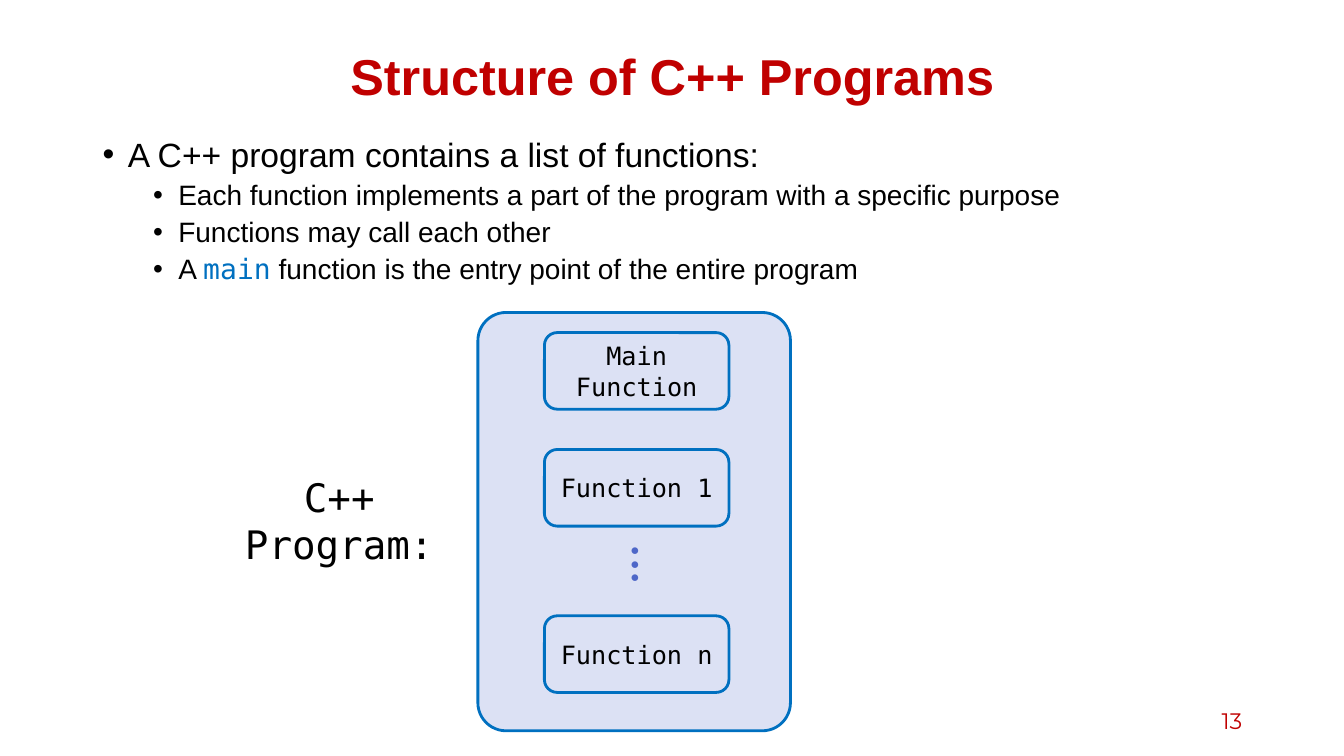
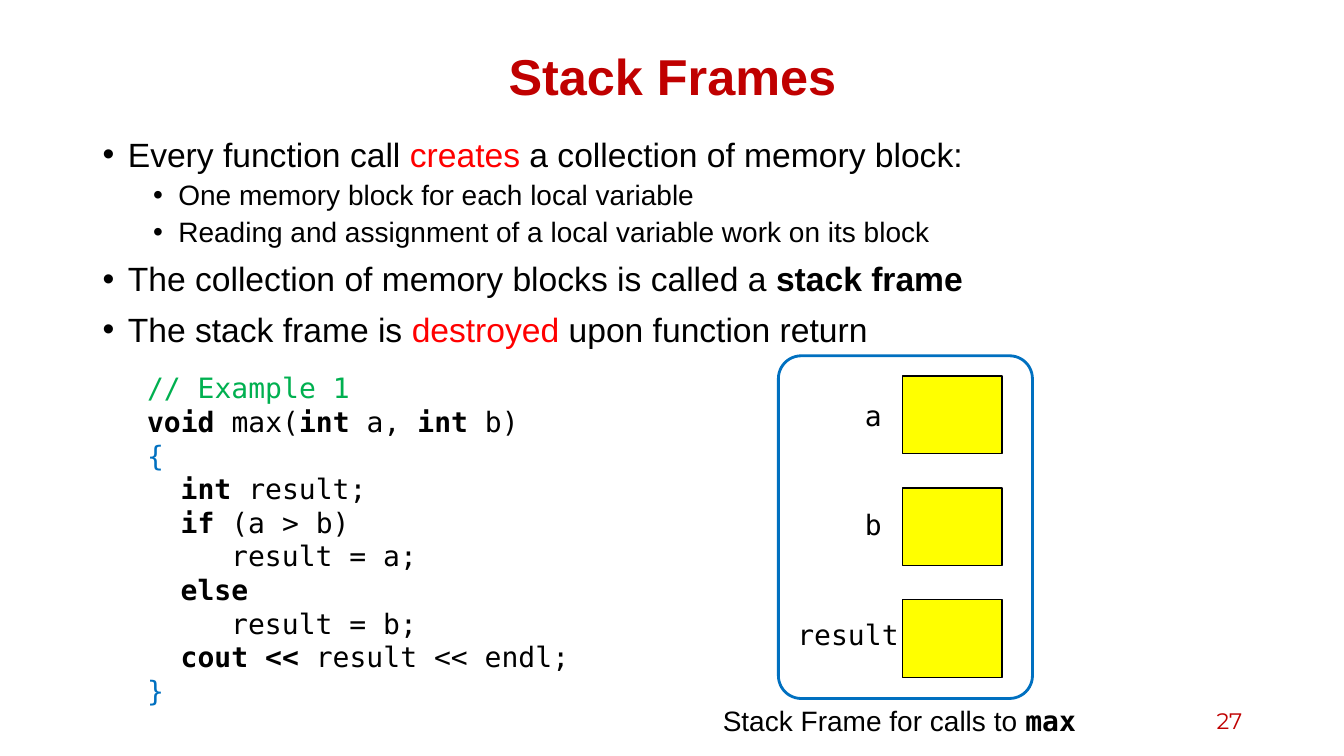
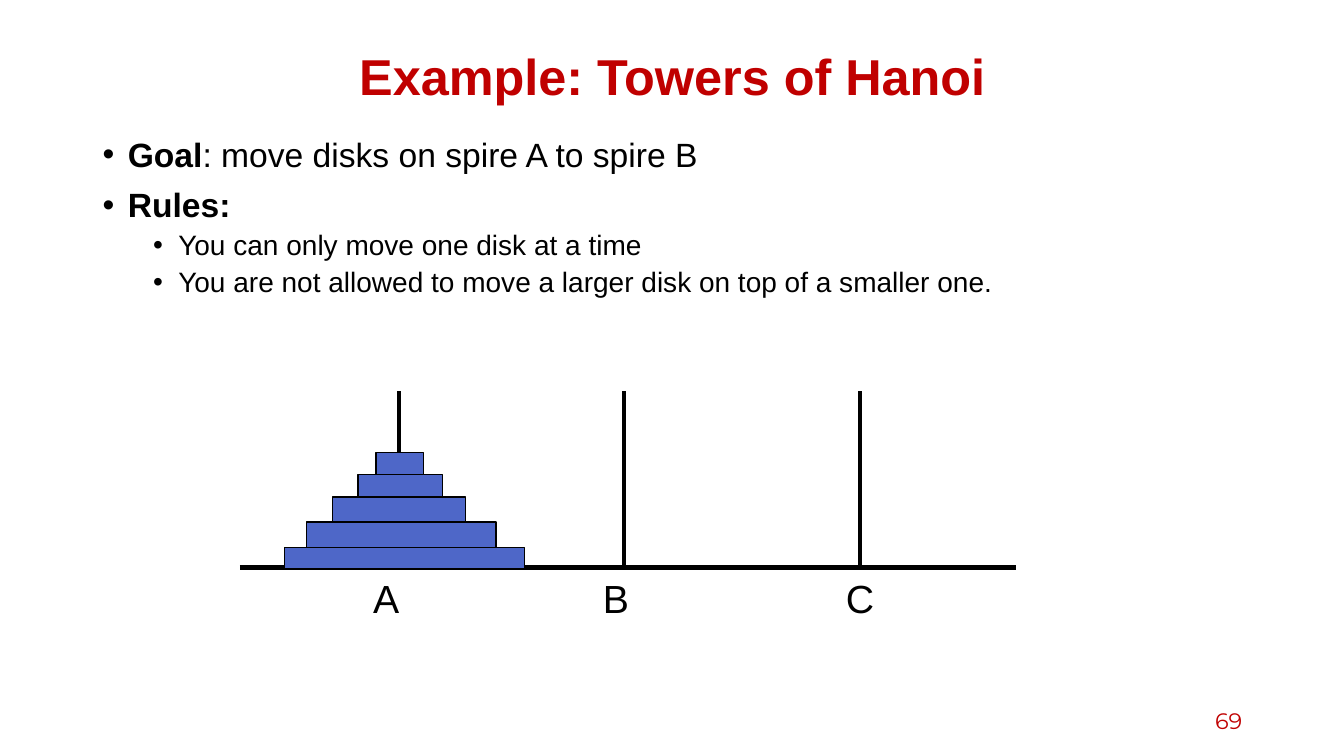
from lxml import etree
from pptx import Presentation
from pptx import util as u
from pptx.dml.color import RGBColor
from pptx.enum import shapes, text
from pptx.oxml import ns

COLORS = {
    "title": "C00000",
    "text": "000000",
    "outline": "0070C0",
    "accent": "4E67C8",
    "panel": "DCE1F4",
    "alert": "FF0000",
    "comment": "00B050",
    "memory": "FFFF00",
}
SANS, MONO, NUMBER = "Arial", "DejaVu Sans Mono", "Montserrat"
CENTER, RIGHT = text.PP_ALIGN.CENTER, text.PP_ALIGN.RIGHT
RECT, ROUND = shapes.MSO_SHAPE.RECTANGLE, shapes.MSO_SHAPE.ROUNDED_RECTANGLE
BOLD = {"bold": True}
# Per bullet level: text size, left margin, space before
LEVELS = [(24, 0.25, 10), (20, 0.75, 5)]
CODE_CHAR = 0.167  # width in inches of one code character at 20 pt


def rgb(name):
    return RGBColor.from_string(COLORS[name])


class Deck:
    def __init__(self):
        self.prs = Presentation()
        self.prs.slide_width = u.Inches(13.33)
        self.prs.slide_height = u.Inches(7.5)
        self.s = None

    def slide(self, title, number, bullets):
        """Start a slide with its title, page number and (level, *runs) bullets."""
        self.s = self.prs.slides.add_slide(self.prs.slide_layouts[6])
        self.text(0.92, 0.4, 11.5, 0.7, [title], size=36, color="title",
                  bold=True, align=CENTER, middle=True)
        self.text(9.42, 6.95, 3, 0.4, [str(number)], size=16, name=NUMBER,
                  color="title", align=RIGHT, middle=True)
        self.bullets(bullets)

    def runs(self, p, parts, **style):
        """Fill a paragraph; a part is a string or a (string, style changes) pair."""
        for part in parts:
            words, changes = (part, {}) if isinstance(part, str) else part
            look = {"name": SANS, "color": "text", "bold": False, **style, **changes}
            r = p.add_run()
            r.text = words
            r.font.color.rgb = rgb(look.pop("color"))
            look["size"] = u.Pt(look["size"])
            for key, value in look.items():
                setattr(r.font, key, value)

    def frame(self, x, y, w, h, middle=False, rotation=0):
        box = self.s.shapes.add_textbox(*map(u.Inches, (x, y, w, h)))
        box.rotation = rotation
        tf = box.text_frame
        tf.word_wrap = True
        if middle:
            tf.vertical_anchor = text.MSO_ANCHOR.MIDDLE
        return tf

    def text(self, x, y, w, h, parts, align=None, middle=False, rotation=0, **style):
        p = self.frame(x, y, w, h, middle, rotation).paragraphs[0]
        p.alignment = align
        self.runs(p, parts, **style)

    def paragraphs(self, tf, count):
        return [tf.paragraphs[0]] + [tf.add_paragraph() for _ in range(count - 1)]

    def bullets(self, items):
        tf = self.frame(0.92, 1.32, 11.5, 5.51)
        for p, (level, *parts) in zip(self.paragraphs(tf, len(items)), items):
            size, margin, before = LEVELS[level]
            for key, value in {"level": level, "line_spacing": 0.9,
                               "space_before": u.Pt(before)}.items():
                setattr(p, key, value)
            pPr = p._p.get_or_add_pPr()
            pPr.set("marL", str(u.Inches(margin)))
            pPr.set("indent", str(u.Inches(-0.25)))
            etree.SubElement(pPr, ns.qn("a:buFont")).set("typeface", SANS)
            etree.SubElement(pPr, ns.qn("a:buChar")).set("char", "•")
            self.runs(p, parts, size=size)

    def code(self, x, y, w, h, lines):
        """Each line is (characters of indent, *runs)."""
        tf = self.frame(x, y, w, h)
        for p, (indent, *parts) in zip(self.paragraphs(tf, len(lines)), lines):
            p._p.get_or_add_pPr().set("marL", str(u.Inches(indent * CODE_CHAR)))
            self.runs(p, parts, size=20, name=MONO)

    def box(self, kind, x, y, w, h, fill=None, line="outline", width=2,
            corner=None, label=None):
        sp = self.s.shapes.add_shape(kind, *map(u.Inches, (x, y, w, h)))
        sp.shadow.inherit = False
        if fill:
            sp.fill.solid()
            sp.fill.fore_color.rgb = rgb(fill)
        else:
            sp.fill.background()
        sp.line.color.rgb = rgb(line)
        sp.line.width = u.Pt(width)
        if corner:
            sp.adjustments[0] = corner
        if label:
            tf = sp.text_frame
            tf.word_wrap = True
            tf.vertical_anchor = text.MSO_ANCHOR.MIDDLE
            tf.paragraphs[0].alignment = CENTER
            self.runs(tf.paragraphs[0], [label], size=18, name=MONO)

    def line(self, x1, y1, x2, y2):
        ln = self.s.shapes.add_connector(
            shapes.MSO_CONNECTOR.STRAIGHT, *map(u.Inches, (x1, y1, x2, y2)))
        ln.line.color.rgb = rgb("text")
        ln.line.width = u.Pt(3)
        etree.SubElement(ln._element.spPr, ns.qn("a:effectLst"))


def program_structure(deck):
    deck.slide("Structure of C++ Programs", 13, [
        (0, "A C++ program contains a list of functions:"),
        (1, "Each function implements a part of the program with a specific purpose"),
        (1, "Functions may call each other"),
        (1, "A ", ("main", {"name": MONO, "color": "outline"}),
         " function is the entry point of the entire program"),
    ])
    deck.box(ROUND, 4.74, 3.1, 3.1, 4.15, fill="panel", corner=0.09)
    for label, y in [("Main Function", 3.3), ("Function 1", 4.46), ("Function n", 6.11)]:
        deck.box(ROUND, 5.4, y, 1.83, 0.76, label=label)
    deck.text(5.89, 5.6, 0.84, 0.29, ["● ● ●"], rotation=90, size=11, color="accent")
    deck.text(1.99, 4.65, 2.75, 0.57, ["C++ Program:"], align=CENTER, size=28, name=MONO)


def stack_frames(deck):
    red, brace = {"color": "alert"}, {"color": "outline"}
    deck.slide("Stack Frames", 27, [
        (0, "Every function call ", ("creates", red), " a collection of memory block:"),
        (1, "One memory block for each local variable"),
        (1, "Reading and assignment of a local variable work on its block"),
        (0, "The collection of memory blocks is called a ", ("stack frame", BOLD)),
        (0, "The stack frame is ", ("destroyed", red), " upon function return"),
    ])
    deck.code(1.36, 3.63, 5.42, 3.47, [
        (0, ("// Example 1", {"color": "comment"})),
        (0, ("void", BOLD), " max(", ("int", BOLD), " a, ", ("int", BOLD), " b)"),
        (0, ("{", brace)),
        (2, ("int", BOLD), " result;"),
        (2, ("if", BOLD), " (a > b)"),
        (5, "result = a;"),
        (2, ("else", BOLD)),
        (5, "result = b;"),
        (2, ("cout <<", BOLD), " result << endl;"),
        (0, ("}", brace)),
    ])
    for i, (variable, x) in enumerate([("a", 8.48), ("b", 8.48), ("result", 7.81)]):
        deck.box(RECT, 8.95, 3.73 + 1.11 * i, 0.99, 0.77,
                 fill="memory", line="text", width=1)
        deck.text(x, 3.9 + 1.09 * i, 9.06 - x, 0.44, [variable], size=20, name=MONO)
    deck.box(ROUND, 7.72, 3.53, 2.52, 3.4, corner=0.09)
    deck.text(7.07, 6.93, 3.81, 0.44,
              ["Stack Frame for calls to ", ("max", {"name": MONO, **BOLD})], size=20)


def towers_of_hanoi(deck):
    deck.slide("Example: Towers of Hanoi", 69, [
        (0, ("Goal", BOLD), ": move disks on spire A to spire B"),
        (0, ("Rules:", BOLD)),
        (1, "You can only move one disk at a time"),
        (1, "You are not allowed to move a larger disk on top of a smaller one."),
    ])
    ground = 5.63
    deck.line(2.38, ground, 10.08, ground)
    for name, spire, label_center in [("A", 3.96, 3.83), ("B", 6.19, 6.11), ("C", 8.53, 8.53)]:
        deck.line(spire, 3.88, spire, ground)
        deck.text(label_center - 0.3, 5.65, 0.6, 0.57, [name], align=CENTER, size=28)
    top = ground + 0.01
    for x, w, h in [(2.82, 2.38, 0.21), (3.04, 1.88, 0.25), (3.3, 1.32, 0.25),
                    (3.55, 0.84, 0.22), (3.73, 0.47, 0.22)]:
        top -= h
        deck.box(RECT, x, top, w, h, fill="accent", line="text", width=1)


def main():
    deck = Deck()
    for build in (program_structure, stack_frames, towers_of_hanoi):
        build(deck)
    deck.prs.save("out.pptx")


if __name__ == "__main__":
    main()
